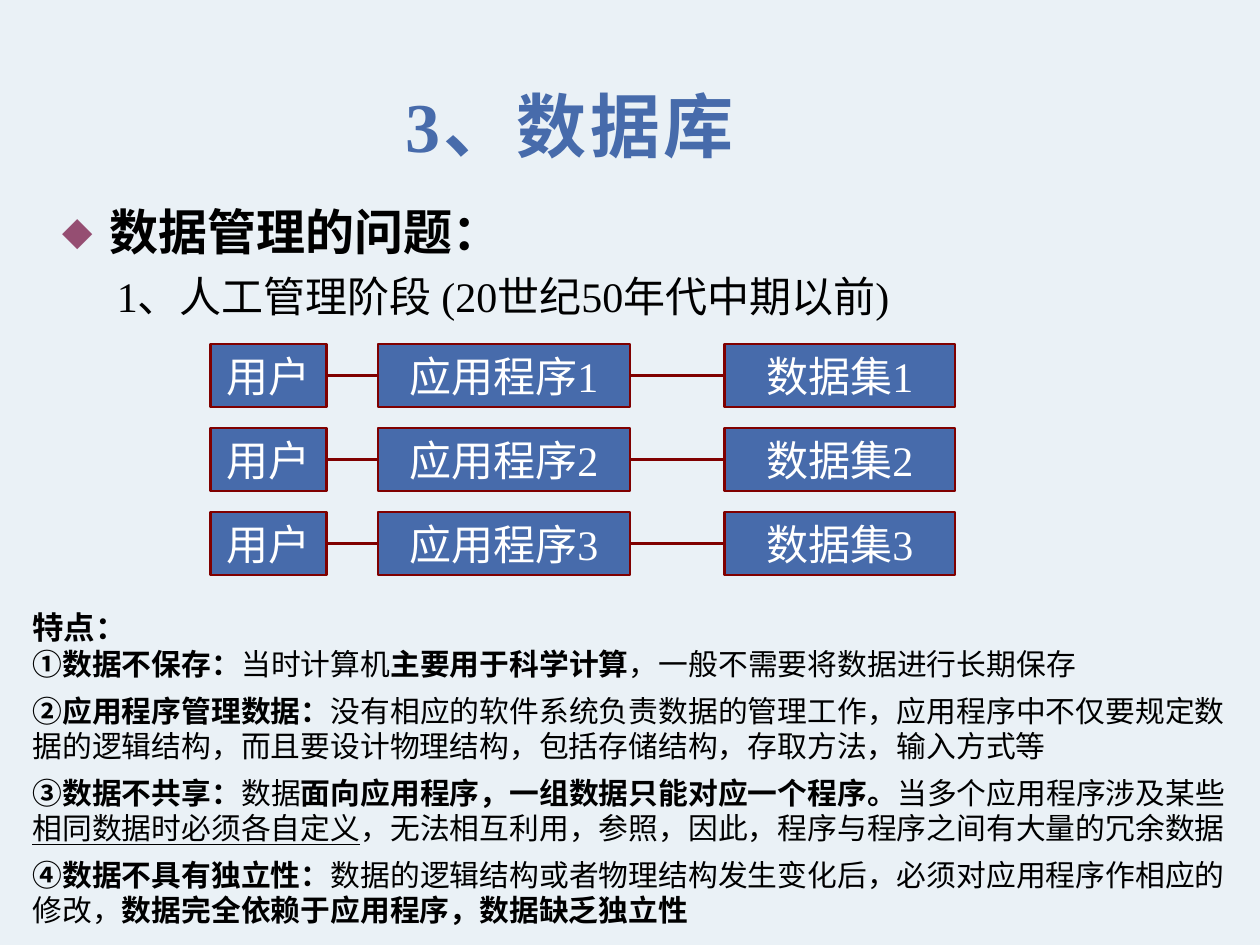
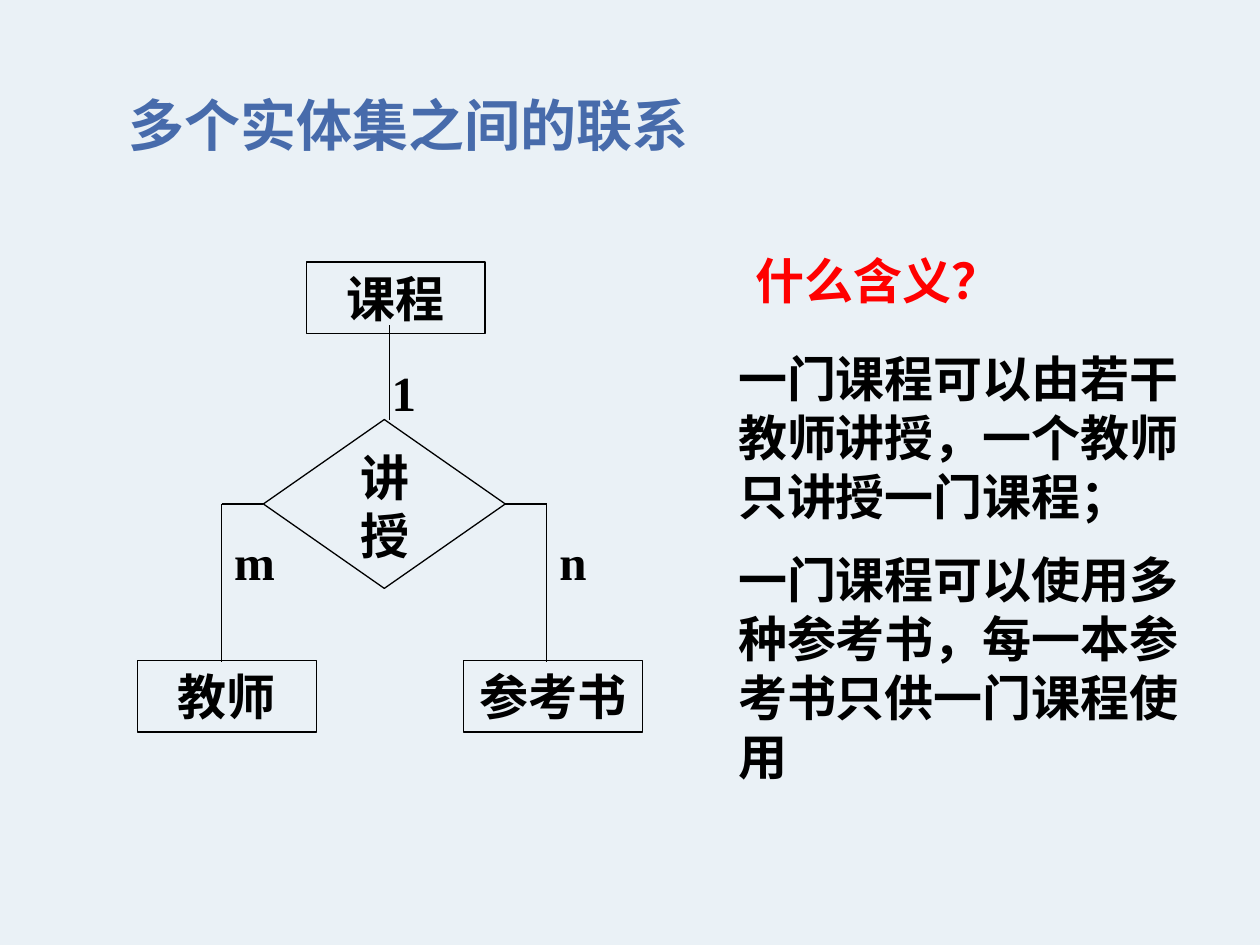
from dataclasses import dataclass
from lxml import etree
from pptx import Presentation
from pptx.dml.color import RGBColor
from pptx.enum.lang import MSO_LANGUAGE_ID
from pptx.enum.shapes import MSO_CONNECTOR, MSO_SHAPE
from pptx.enum.text import MSO_ANCHOR, MSO_AUTO_SIZE, PP_ALIGN
from pptx.oxml.ns import qn
from pptx.util import Inches, Pt

LEFT, CENTER = PP_ALIGN.LEFT, PP_ALIGN.CENTER
TOP, MIDDLE, BOTTOM = MSO_ANCHOR.TOP, MSO_ANCHOR.MIDDLE, MSO_ANCHOR.BOTTOM
RECT, DIAMOND = MSO_SHAPE.RECTANGLE, MSO_SHAPE.FLOWCHART_DECISION
STRAIGHT = MSO_CONNECTOR.STRAIGHT
CHINESE = MSO_LANGUAGE_ID.SIMPLIFIED_CHINESE


@dataclass(frozen=True)
class Theme:
    font: str = "Times New Roman"
    background: RGBColor = RGBColor(0xEA, 0xF1, 0xF6)
    blue: RGBColor = RGBColor(0x47, 0x6B, 0xAB)
    maroon: RGBColor = RGBColor(0x80, 0x00, 0x00)
    black: RGBColor = RGBColor(0x00, 0x00, 0x00)
    white: RGBColor = RGBColor(0xFF, 0xFF, 0xFF)
    red: RGBColor = RGBColor(0xFF, 0x00, 0x00)
    bullet: str = "954E72"
    title: int = 40
    subtitle: int = 32
    heading: int = 28
    label: int = 24
    note_head: int = 18
    note: int = 17


T = Theme()


def write(sp, paragraphs, size, color=T.black, style="b", align=LEFT, anchor=TOP, gap=0):
    """Fill a shape; a paragraph is a string or a list of (text, style) with b bold, u underlined."""
    tf = sp.text_frame
    tf.word_wrap = True
    tf.auto_size = MSO_AUTO_SIZE.NONE
    tf.vertical_anchor = anchor
    for i, runs in enumerate(paragraphs):
        p = tf.paragraphs[0] if i == 0 else tf.add_paragraph()
        p.alignment = align
        p.space_before = Pt(gap if i else 0)
        for text, mark in [(runs, style)] if isinstance(runs, str) else runs:
            r = p.add_run()
            r.text = text
            r.font.name = T.font
            r.font.size = Pt(size)
            r.font.color.rgb = color
            r.font.bold = "b" in mark
            r.font.underline = "u" in mark
            r.font.language_id = CHINESE
    return tf


def add_line(s, x1, y1, x2, y2, color, width):
    ln = s.shapes.add_connector(STRAIGHT, Inches(x1), Inches(y1), Inches(x2), Inches(y2))
    ln.line.color.rgb = color
    ln.line.width = Pt(width)
    etree.SubElement(ln._element.spPr, qn("a:effectLst"))
    return ln


prs = Presentation()
prs.slide_width, prs.slide_height = Inches(10), Inches(7.5)
fill = prs.slide_master.background.fill
fill.solid()
fill.fore_color.rgb = T.background

# Slide 1: title and heading
s = prs.slides.add_slide(prs.slide_layouts[1])
sp = s.shapes.title
sp.left, sp.top, sp.width, sp.height = Inches(0.27), Inches(0.36), Inches(8.5), Inches(1.25)
tf = write(sp, ["3、数据库"], T.title, T.blue, align=CENTER, anchor=MIDDLE)
tf.paragraphs[0].runs[0]._r.get_or_add_rPr().set("spc", "200")

sp = s.placeholders[1]
sp.left, sp.top, sp.width, sp.height = Inches(0.39), Inches(1.55), Inches(9.34), Inches(0.6)
pPr = sp.text_frame.paragraphs[0]._p.get_or_add_pPr()
pPr.set("marL", str(Inches(0.38)))
pPr.set("indent", str(-Inches(0.38)))
bullet_color = etree.SubElement(pPr, qn("a:buClr"))
etree.SubElement(bullet_color, qn("a:srgbClr"), val=T.bullet)
etree.SubElement(pPr, qn("a:buSzPct"), val="90000")
etree.SubElement(pPr, qn("a:buChar"), char="⬥")
write(sp, ["数据管理的问题："], T.heading)

sp = s.shapes.add_textbox(Inches(0.83), Inches(2.1), Inches(7.79), Inches(0.5))
write(sp, ["1、人工管理阶段 (20世纪50年代中期以前)"], T.label, style="")

# User, program and data set in three joined rows
columns = [("用户", 1.67, 0.92), ("应用程序{}", 3, 2), ("数据集{}", 5.75, 1.83)]
for row in range(3):
    y = 2.73 + row * 2 / 3
    previous = None
    for label, x, width in columns:
        sp = s.shapes.add_shape(RECT, Inches(x), Inches(y), Inches(width), Inches(0.5))
        sp.shadow.inherit = False
        sp.fill.solid()
        sp.fill.fore_color.rgb = T.blue
        sp.line.color.rgb = T.maroon
        sp.line.width = Pt(1.5)
        tf = write(sp, [label.format(row + 1)], T.label, T.white, "", CENTER, MIDDLE)
        tf.word_wrap = False
        if previous:
            ln = add_line(s, x, y, x, y, T.maroon, 1.5)
            ln.begin_connect(previous, 3)
            ln.end_connect(sp, 1)
        previous = sp

# Characteristics of the stage
notes = [
    "特点：",
    [("①数据不保存：", "b"), ("当时计算机", ""), ("主要用于科学计算", "b"),
     ("，一般不需要将数据进行长期保存", "")],
    [("②应用程序管理数据：", "b"),
     ("没有相应的软件系统负责数据的管理工作，应用程序中不仅要规定数据的逻辑结构，"
      "而且要设计物理结构，包括存储结构，存取方法，输入方式等", "")],
    [("③数据不共享：", "b"), ("数据", ""),
     ("面向应用程序，一组数据只能对应一个程序。", "b"), ("当多个应用程序涉及某些", ""),
     ("相同数据时必须各自定义", "u"),
     ("，无法相互利用，参照，因此，程序与程序之间有大量的冗余数据", "")],
    [("④数据不具有独立性：", "b"),
     ("数据的逻辑结构或者物理结构发生变化后，必须对应用程序作相应的修改，", ""),
     ("数据完全依赖于应用程序，数据缺乏独立性", "b")],
]
sp = s.shapes.add_textbox(Inches(0.16), Inches(4.78), Inches(9.84), Inches(2.66))
tf = write(sp, notes, T.note)
tf.paragraphs[0].runs[0].font.size = Pt(T.note_head)
for p in tf.paragraphs[1:]:
    p.space_after = Pt(6)

# Slide 2: title
s = prs.slides.add_slide(prs.slide_layouts[5])
sp = s.shapes.title
sp.left, sp.top, sp.width, sp.height = Inches(0.92), Inches(0.66), Inches(8.93), Inches(0.64)
write(sp, ["多个实体集之间的联系"], T.subtitle, T.blue, anchor=BOTTOM)

# Entities and the relationship between them
outlines = [
    (RECT, "课程", 2.43, 2.08, 1.42, 0.57),
    (RECT, "教师", 1.09, 5.24, 1.42, 0.57),
    (RECT, "参考书", 3.68, 5.24, 1.42, 0.57),
    (DIAMOND, "", 2.09, 3.33, 1.92, 1.34),
]
for kind, label, x, y, width, height in outlines:
    sp = s.shapes.add_shape(kind, Inches(x), Inches(y), Inches(width), Inches(height))
    sp.shadow.inherit = False
    sp.fill.background()
    sp.line.color.rgb = T.black
    sp.line.width = Pt(0.75)
    if label:
        write(sp, [label], T.heading, align=CENTER)
diamond = sp

# Lines: one up to the course, two bent down from the diamond's sides
add_line(s, 3.09, 2.58, 3.09, 3.33, T.black, 0.75)
for x, side in [(1.76, 1), (4.34, 3)]:
    ln = add_line(s, x, 4, x, 4, T.black, 0.75)
    ln.end_connect(diamond, side)
    add_line(s, x, 4, x, 5.25, T.black, 0.75)

# Relationship name, cardinalities, question and meaning
texts = [
    (["讲授"], 2.76, 3.5, 0.92, 1.04, T.black, LEFT),
    (["1"], 3.01, 2.83, 0.42, 0.57, T.black, LEFT),
    (["m"], 1.76, 4.17, 0.42, 0.57, T.black, LEFT),
    (["n"], 4.34, 4.17, 0.42, 0.57, T.black, LEFT),
    (["什么含义？"], 4.76, 1.94, 4.42, 0.57, T.red, CENTER),
    (["一门课程可以由若干教师讲授，一个教师只讲授一门课程；",
      "一门课程可以使用多种参考书，每一本参考书只供一门课程使用"],
     5.76, 2.72, 3.89, 3.64, T.black, LEFT),
]
for paragraphs, x, y, width, height, color, align in texts:
    sp = s.shapes.add_textbox(Inches(x), Inches(y), Inches(width), Inches(height))
    write(sp, paragraphs, T.heading, color, align=align, gap=14)

prs.save("out.pptx")
